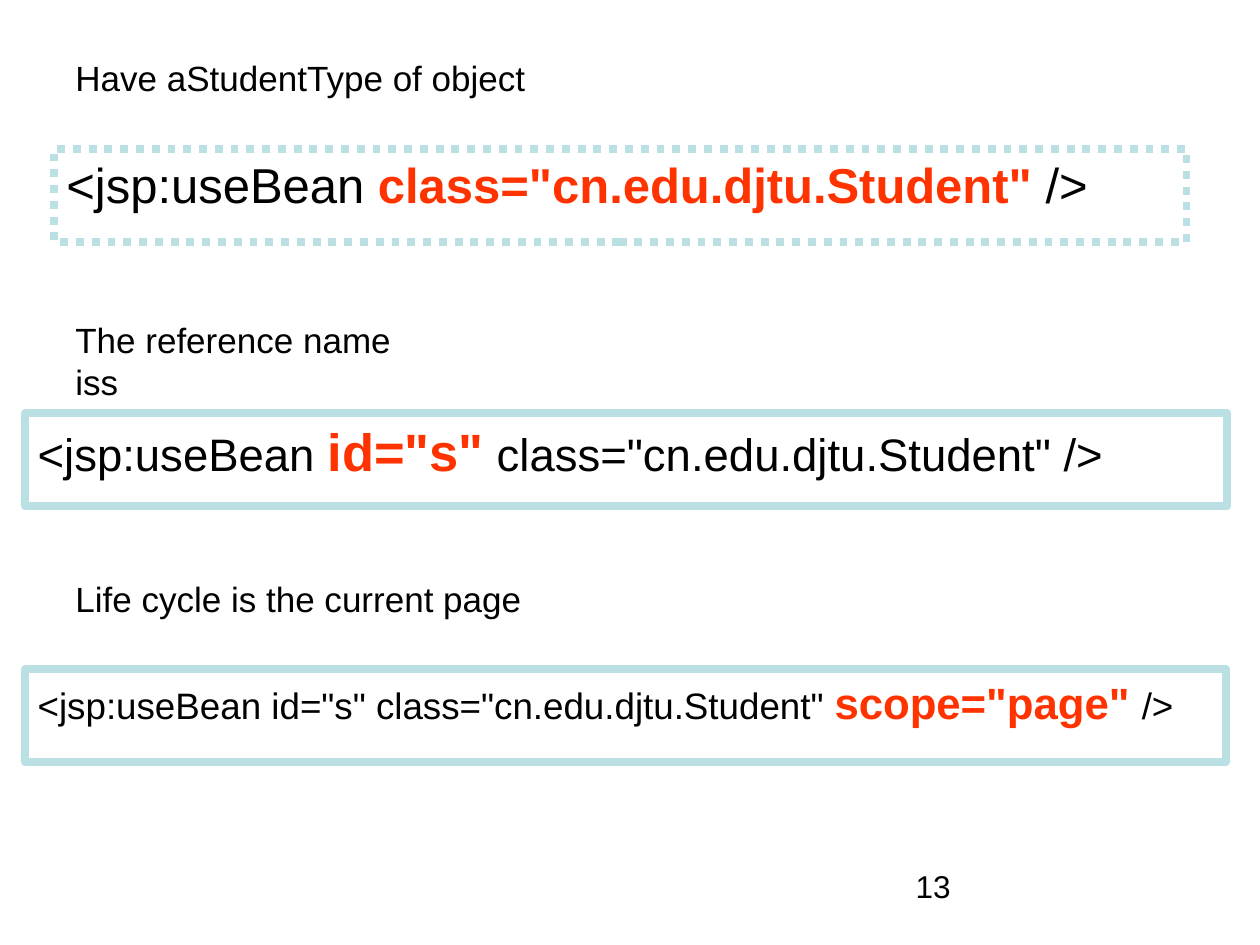
from dataclasses import dataclass

from pptx import Presentation
from pptx.dml.color import RGBColor
from pptx.enum.dml import MSO_LINE
from pptx.enum.shapes import MSO_SHAPE
from pptx.enum.text import MSO_ANCHOR, MSO_AUTO_SIZE, PP_ALIGN
from pptx.slide import Slide
from pptx.util import Cm, Pt


def rgb(color):
    return RGBColor.from_string(color)


@dataclass
class SlideBuilder:
    slide: Slide
    font: str = "Arial"
    text_color: str = "000000"
    accent: str = "FF3300"
    border: str = "BBE0E3"

    def style(self, font, size, color, bold=False):
        font.name = self.font
        font.size = Pt(size)
        font.bold = bold
        font.color.rgb = rgb(color)

    def label(self, text, left, top, width, height, size=20, wrap=False):
        shape = self.slide.shapes.add_textbox(Cm(left), Cm(top), Cm(width), Cm(height))
        frame = shape.text_frame
        frame.word_wrap = wrap
        frame.auto_size = MSO_AUTO_SIZE.NONE if wrap else MSO_AUTO_SIZE.SHAPE_TO_FIT_TEXT
        paragraph = frame.paragraphs[0]
        paragraph.text = text
        self.style(paragraph.font, size, self.text_color)

    def code_box(self, parts, left, top, width, size, accent_size, dash=None):
        """Draw a framed line of code; parts are (before, highlighted, after)."""
        shape = self.slide.shapes.add_shape(
            MSO_SHAPE.RECTANGLE, Cm(left), Cm(top), Cm(width), Cm(1.88))
        shape.shadow.inherit = False
        shape.fill.background()
        shape.line.color.rgb = rgb(self.border)
        shape.line.width = Pt(4.5)
        if dash:
            shape.line.dash_style = dash
        frame = shape.text_frame
        frame.word_wrap = True
        frame.vertical_anchor = MSO_ANCHOR.TOP
        paragraph = frame.paragraphs[0]
        paragraph.alignment = PP_ALIGN.LEFT
        for index, text in enumerate(parts):
            run = paragraph.add_run()
            run.text = text
            if index == 1:
                self.style(run.font, accent_size, self.accent, bold=True)
            else:
                self.style(run.font, size, self.text_color)


def main():
    presentation = Presentation()
    presentation.slide_width, presentation.slide_height = Cm(25.4), Cm(19.05)
    blank_layout = presentation.slide_layouts[6]
    builder = SlideBuilder(presentation.slides.add_slide(blank_layout))

    builder.label("13", 18.21, 17.35, 5.92, 1.32, size=18, wrap=True)

    builder.label("Have aStudentType of object", 1.27, 1.02, 9.63, 1.11)
    builder.code_box(("<jsp:useBean ", 'class="cn.edu.djtu.Student"', " />"),
                     1.09, 3, 22.83, 28, 28, MSO_LINE.ROUND_DOT)

    builder.label("The reference name iss", 1.27, 6.3, 7.92, 1.11)
    builder.code_box(("<jsp:useBean ", 'id="s"', ' class="cn.edu.djtu.Student" />'),
                     0.51, 8.33, 24.23, 26, 30)

    builder.label("Life cycle is the current page", 1.27, 11.51, 9.5, 1.11)
    builder.code_box(('<jsp:useBean id="s" class="cn.edu.djtu.Student" ', 'scope="page" ', "/>"),
                     0.51, 13.49, 24.2, 21, 25)

    presentation.save("out.pptx")


if __name__ == "__main__":
    main()
